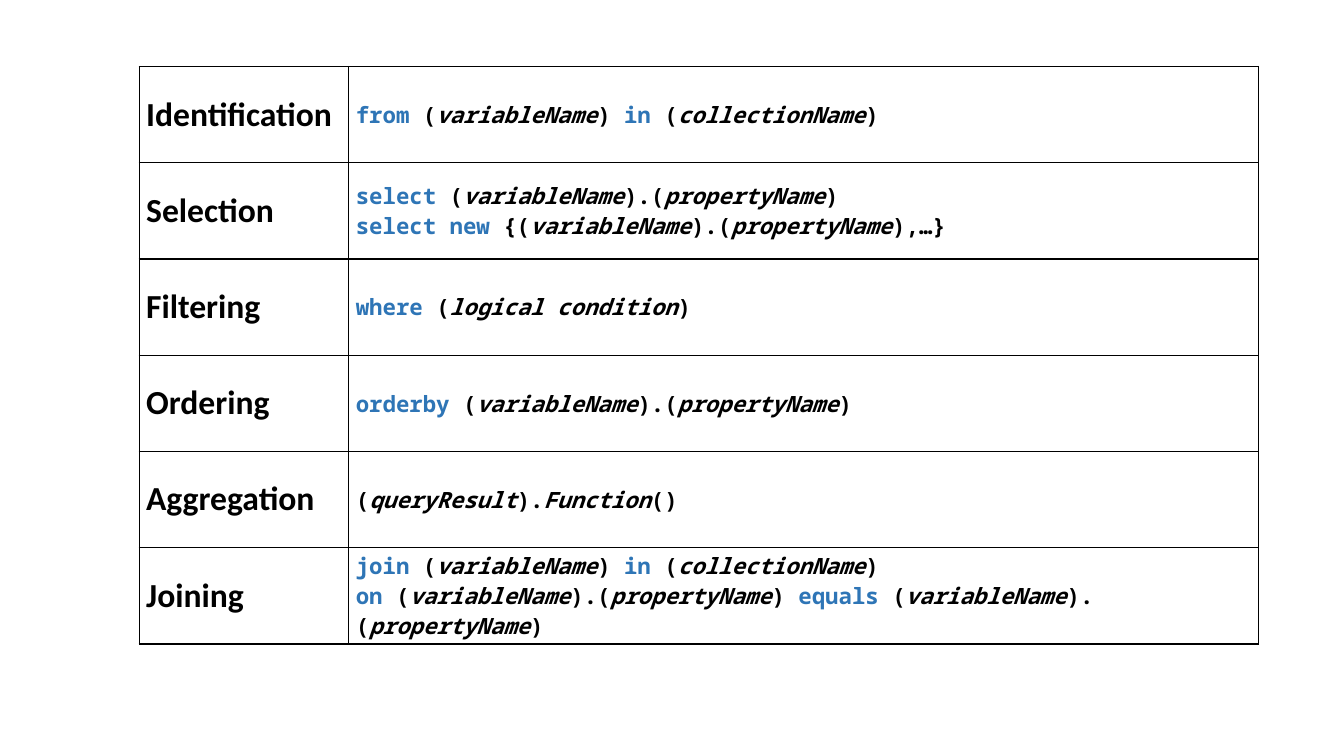
from pptx import Presentation, util as u
from pptx.dml.color import RGBColor
from pptx.enum import text
from pptx.oxml import parse_xml
from pptx.oxml.ns import nsdecls

BLACK = RGBColor(0x00, 0x00, 0x00)
BLUE = RGBColor(0x2E, 0x75, 0xB6)

# Each span style is (colour, italic).
KEYWORD = (BLUE, False)
SYMBOL = (BLACK, False)
NAME = (BLACK, True)

OPEN = (SYMBOL, " (")
CLOSE = (SYMBOL, ")")
VARIABLE = (NAME, "variableName")
MEMBER = [VARIABLE, (SYMBOL, ").("), (NAME, "propertyName")]
SOURCE = [OPEN, VARIABLE, (SYMBOL, ") "), (KEYWORD, "in"), OPEN,
          (NAME, "collectionName"), CLOSE]

CLAUSES = [
    ("Identification", [[(KEYWORD, "from"), *SOURCE]]),
    ("Selection", [
        [(KEYWORD, "select"), OPEN, *MEMBER, CLOSE],
        [(KEYWORD, "select new"), (SYMBOL, " {("), *MEMBER, (SYMBOL, "),…}")],
    ]),
    ("Filtering", [[(KEYWORD, "where"), OPEN, (NAME, "logical condition"), CLOSE]]),
    ("Ordering", [[(KEYWORD, "orderby"), OPEN, *MEMBER, CLOSE]]),
    ("Aggregation", [[(SYMBOL, "("), (NAME, "queryResult"), (SYMBOL, ")."),
                      (NAME, "Function"), (SYMBOL, "()")]]),
    ("Joining", [
        [(KEYWORD, "join"), *SOURCE],
        [(KEYWORD, "on"), OPEN, *MEMBER, (SYMBOL, ") "), (KEYWORD, "equals"),
         OPEN, *MEMBER, CLOSE],
    ]),
]


def outline_cell(cell):
    properties = cell._tc.get_or_add_tcPr()
    for position, side in enumerate(("lnL", "lnR", "lnT", "lnB")):
        properties.insert(position, parse_xml(
            f'<a:{side} {nsdecls("a")} w="{u.Pt(1)}"><a:solidFill>'
            f'<a:srgbClr val="{BLACK}"/></a:solidFill></a:{side}>'))


def fill_cell(cell, lines, font_name, size):
    cell.fill.background()
    outline_cell(cell)
    cell.vertical_anchor = text.MSO_ANCHOR.MIDDLE
    cell.margin_left = cell.margin_right = u.Inches(0.07)
    cell.margin_top = cell.margin_bottom = 0
    for number, line in enumerate(lines):
        frame = cell.text_frame
        para = frame.add_paragraph() if number else frame.paragraphs[0]
        for (colour, italic), words in line:
            span = para.add_run()
            span.text = words
            span.font.name = font_name
            span.font.size = u.Pt(size)
            span.font.bold = True
            span.font.italic = italic
            span.font.color.rgb = colour


def add_clause_table(page, left, top, width, height):
    frame = page.shapes.add_table(len(CLAUSES), 2, left, top, width, height)
    table = frame.table
    table.first_row = table.horz_banding = False
    label_width = u.Inches(2.08)
    table.columns[0].width = label_width
    table.columns[1].width = width - label_width
    for row, (label, syntax) in zip(table.rows, CLAUSES):
        row.height = height // len(CLAUSES)
        fill_cell(row.cells[0], [[(SYMBOL, label)]], "Calibri", 24)
        fill_cell(row.cells[1], syntax, "Noto Sans Mono", 16)


def main():
    deck = Presentation()
    deck.slide_width, deck.slide_height = u.Inches(13.33), u.Inches(7.5)
    page = deck.slides.add_slide(deck.slide_layouts[6])
    add_clause_table(page, u.Inches(1.38), u.Inches(0.66),
                     u.Inches(11.1), u.Inches(5.73))
    deck.save("out.pptx")


if __name__ == "__main__":
    main()
